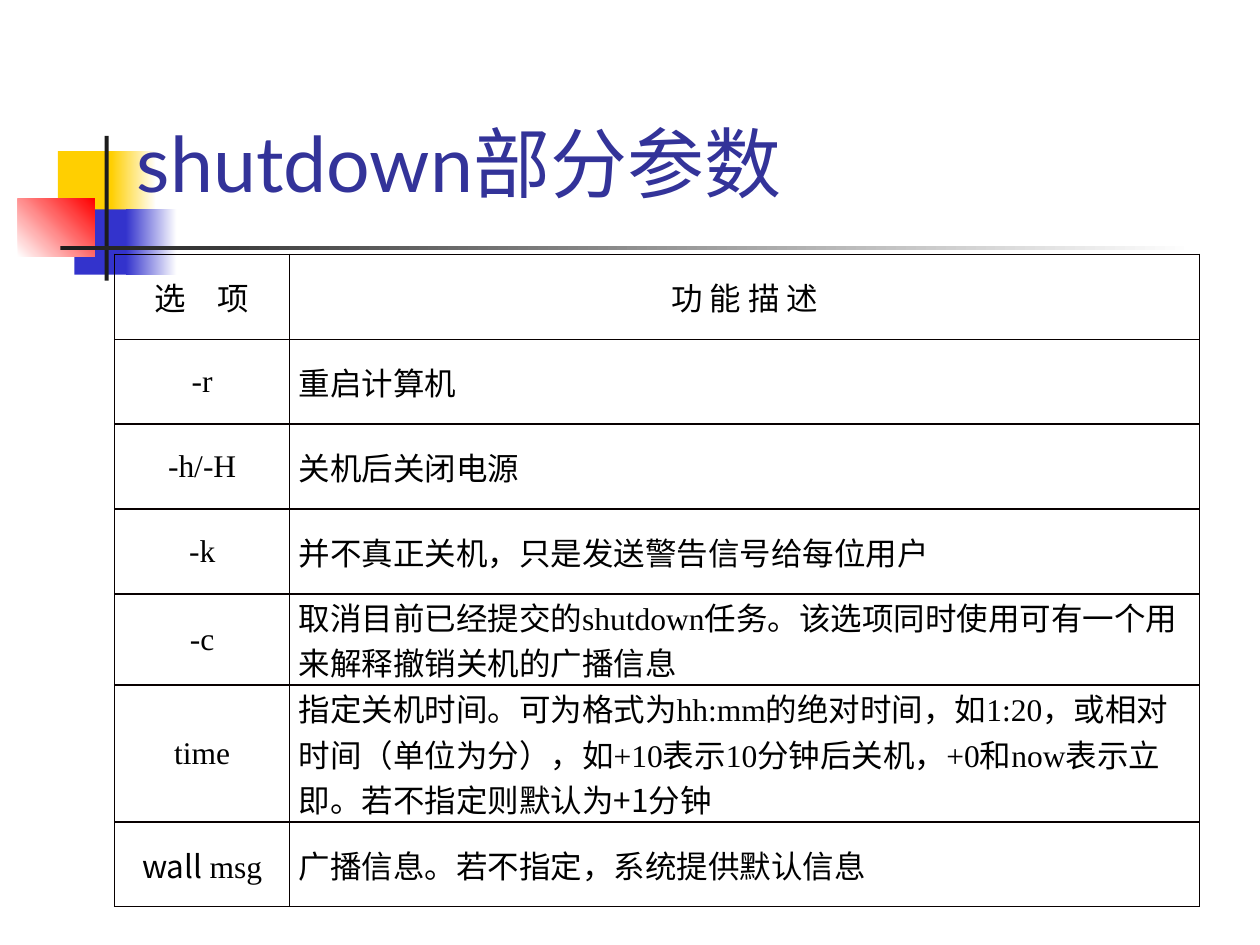
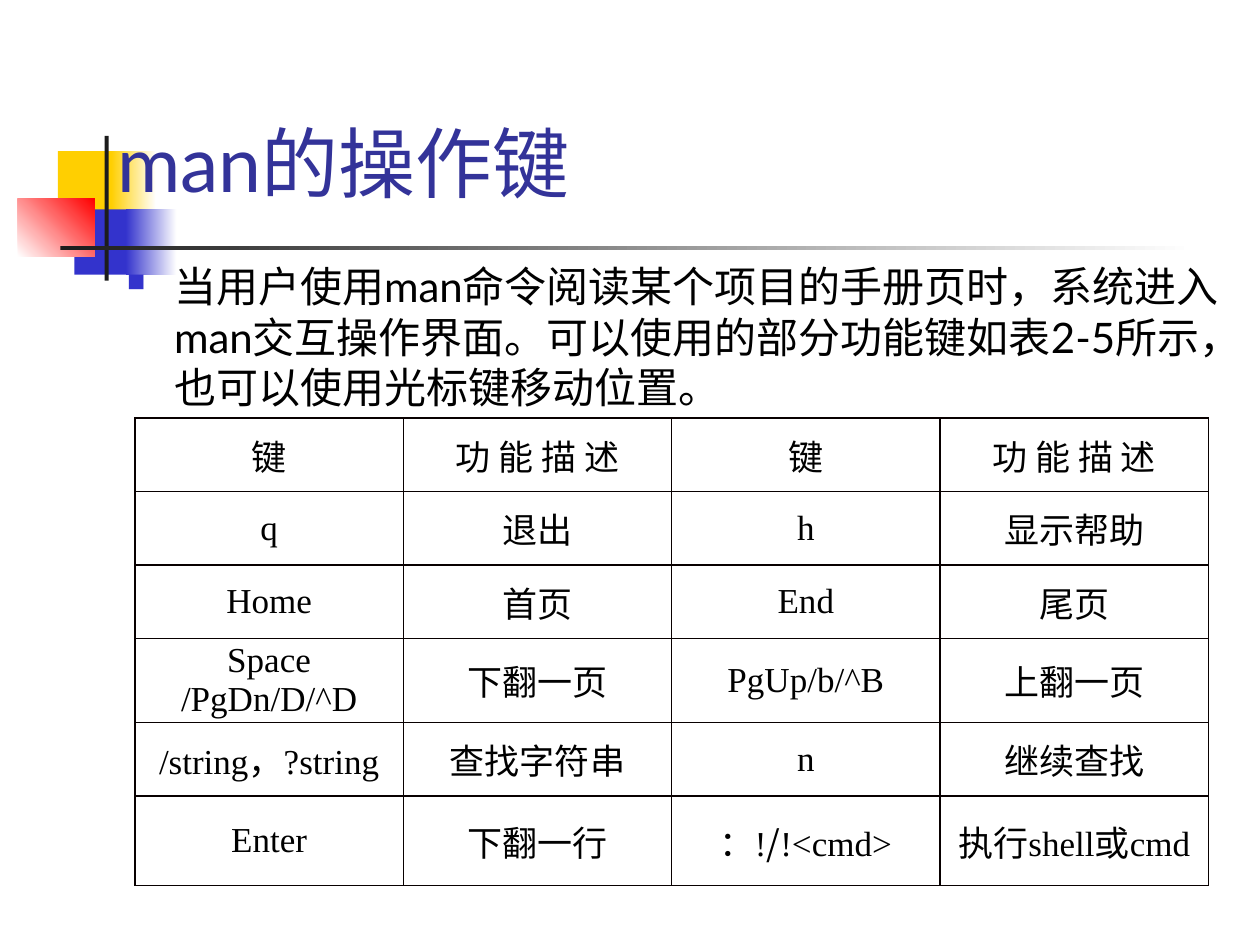
from pptx import Presentation
from pptx.dml.color import RGBColor
from pptx.enum import shapes, text
from pptx.oxml import ns
from pptx.util import Cm, Pt
from lxml import etree

BLACK = RGBColor(0x00, 0x00, 0x00)
WHITE = RGBColor(0xFF, 0xFF, 0xFF)
NAVY = RGBColor(0x33, 0x33, 0x99)
BLUE = RGBColor(0x33, 0x33, 0xCC)
GOLD = RGBColor(0xFF, 0xCF, 0x01)
RED = RGBColor(0xFF, 0x00, 0x00)
DARK = RGBColor(0x1C, 0x1C, 0x1C)
EDGE = RGBColor(0x08, 0x00, 0x00)

SANS, SERIF, HAN = "Lato", "Times New Roman", "Noto Sans CJK SC"
SWITCH = "|"

DECOR = [
    ((1.17, 3.05, 1.22, 1.32), [GOLD], 0),
    ((2.24, 3.05, 0.91, 1.32), [GOLD, WHITE], 0),
    ((1.5, 4.22, 1.17, 1.32), [BLUE], 0),
    ((2.54, 4.22, 1.02, 1.32), [BLUE, WHITE], 0),
    ((0.36, 4.01, 1.55, 1.17), [WHITE, RED], 45),
    ((2.11, 2.74, 0.08, 2.92), [DARK], 0),
    ((1.22, 4.95, 22.86, 0.1), [DARK, WHITE], 0),
]
TITLE = (2.11, 1.12, 22.66, 3.2)
BODY = (2.31, 5.13, 22.58, 12.19)

SLIDES = [
    {
        "title": " shutdown部分参数",
        "at": (2.31, 5.13),
        "cols": [3.53, 18.34],
        "rows": [1.71] * 5 + [1.93, 1.71],
        "size": 18,
        "left": [1],
        "cells": [
            ("选　项", "功 能 描 述"),
            ("-r", "重启计算机"),
            ("-h/-H", "关机后关闭电源"),
            ("-k", "并不真正关机，只是|发|送警告信号给每位用户"),
            ("-c", "取消目前|已经提交的|shutdown|任务|"
                   "。该选项同时使用可有一个用来解释撤销关机的广播信息"),
            ("time", "指定关机时间。可为格式为hh:mm的绝对时间|，|"
                     "如1:20，或相对时间（单位为分），如+10表示10分钟后关机，+0"
                     "|和|now|表示立即。若不指定则默认为+1分钟"),
            ("|wall |msg", "广播信息。|若不指定，系统提供默认信息"),
        ],
    },
    {
        "title": "man的操作键",
        "body": "当用户使用man命令阅读某个项目的手册页时，系统进入man交互操作界面。"
                "可以使用的部分功能键如表2-5所示，也可以使用光标键移动位置。",
        "at": (2.72, 8.43),
        "cols": [5.41] * 4,
        "rows": [1.48] * 3 + [1.57, 1.48, 1.81],
        "size": 20,
        "left": [],
        "cells": [
            ("键", "功 能 描 述", "键", "功 能 描 述"),
            ("q", "退出", "h", "显示帮助"),
            ("Home", "首页", "End", "尾页"),
            ("Space /PgDn/D/^D", "下翻一页", "PgUp/b/^B", "上翻一页"),
            ("/string，?string", "查找字符串", "n", "继续查找"),
            ("Enter", "下翻一行", "|：|!|/|!<cmd>", "执行shell|或|cmd"),
        ],
    },
]


def cms(box):
    return [Cm(v) for v in box]


def sub(node, tag, **attrs):
    return etree.SubElement(node, ns.qn(tag), **attrs)


def add_run(par, words, font, size, color):
    run = par.add_run()
    run.text = words
    run.font.name = font
    run.font.size = Pt(size)
    run.font.color.rgb = color
    sub(run.font._element, "a:ea", typeface=HAN)


def add_decor(slide, layout):
    for box, tones, angle in DECOR:
        shape = slide.shapes.add_shape(shapes.MSO_SHAPE.RECTANGLE, *cms(box))
        shape.shadow.inherit = False
        shape.line.fill.background()
        if len(tones) == 1:
            shape.fill.solid()
            shape.fill.fore_color.rgb = tones[0]
        else:
            shape.fill.gradient()
            shape.fill.gradient_angle = angle
            for stop, tone in zip(shape.fill.gradient_stops, tones):
                stop.color.rgb = tone
        layout.shapes._spTree.append(shape._element)


def set_title(slide, words):
    title = slide.shapes.title
    title.left, title.top, title.width, title.height = cms(TITLE)
    frame = title.text_frame
    frame.auto_size = text.MSO_AUTO_SIZE.NONE
    frame.vertical_anchor = text.MSO_ANCHOR.BOTTOM
    par = frame.paragraphs[0]
    par.alignment = text.PP_ALIGN.LEFT
    add_run(par, words, SANS, 44, NAVY)


def add_body(slide, words):
    frame = slide.shapes.add_textbox(*cms(BODY)).text_frame
    frame.word_wrap = True
    par = frame.paragraphs[0]
    par.line_spacing = 1.0
    par.space_before = Pt(2)
    props = par._p.get_or_add_pPr()
    props.set("marL", str(Cm(0.95)))
    props.set("indent", str(Cm(-0.95)))
    sub(sub(props, "a:buClr"), "a:srgbClr", val=str(BLUE))
    sub(props, "a:buSzPct", val="60000")
    sub(props, "a:buFont", typeface="Wingdings", charset="2")
    sub(props, "a:buChar", char="n")
    add_run(par, words, SANS, 24, BLACK)


def set_cell(cell, words, size, align):
    cell.vertical_anchor = text.MSO_ANCHOR.MIDDLE
    cell.margin_left = cell.margin_right = Cm(0.18)
    cell.margin_top = cell.margin_bottom = 0
    props = cell._tc.get_or_add_tcPr()
    for side in ("a:lnL", "a:lnR", "a:lnT", "a:lnB"):
        line = sub(props, side, w=str(Pt(1)))
        sub(sub(line, "a:solidFill"), "a:srgbClr", val=str(EDGE))
    cell.fill.background()
    par = cell.text_frame.paragraphs[0]
    par.alignment = align
    for i, part in enumerate(words.split(SWITCH)):
        if part:
            add_run(par, part, HAN if i % 2 else SERIF, size, BLACK)


def add_grid(slide, page):
    cols, rows = page["cols"], page["rows"]
    box = (*page["at"], sum(cols), sum(rows))
    table = slide.shapes.add_table(len(rows), len(cols), *cms(box)).table
    table.first_row = table.horz_banding = False
    for col, width in zip(table.columns, cols):
        col.width = Cm(width)
    for r, (row, height) in enumerate(zip(table.rows, rows)):
        row.height = Cm(height)
        for c, words in enumerate(page["cells"][r]):
            left = r > 0 and c in page["left"]
            align = text.PP_ALIGN.LEFT if left else text.PP_ALIGN.CENTER
            set_cell(table.cell(r, c), words, page["size"], align)


def main():
    deck = Presentation()
    deck.slide_width, deck.slide_height = Cm(25.4), Cm(19.05)
    layout = deck.slide_layouts[5]
    for i, page in enumerate(SLIDES):
        slide = deck.slides.add_slide(layout)
        if i == 0:
            add_decor(slide, layout)
        set_title(slide, page["title"])
        if "body" in page:
            add_body(slide, page["body"])
        add_grid(slide, page)
    deck.save("out.pptx")


if __name__ == "__main__":
    main()
